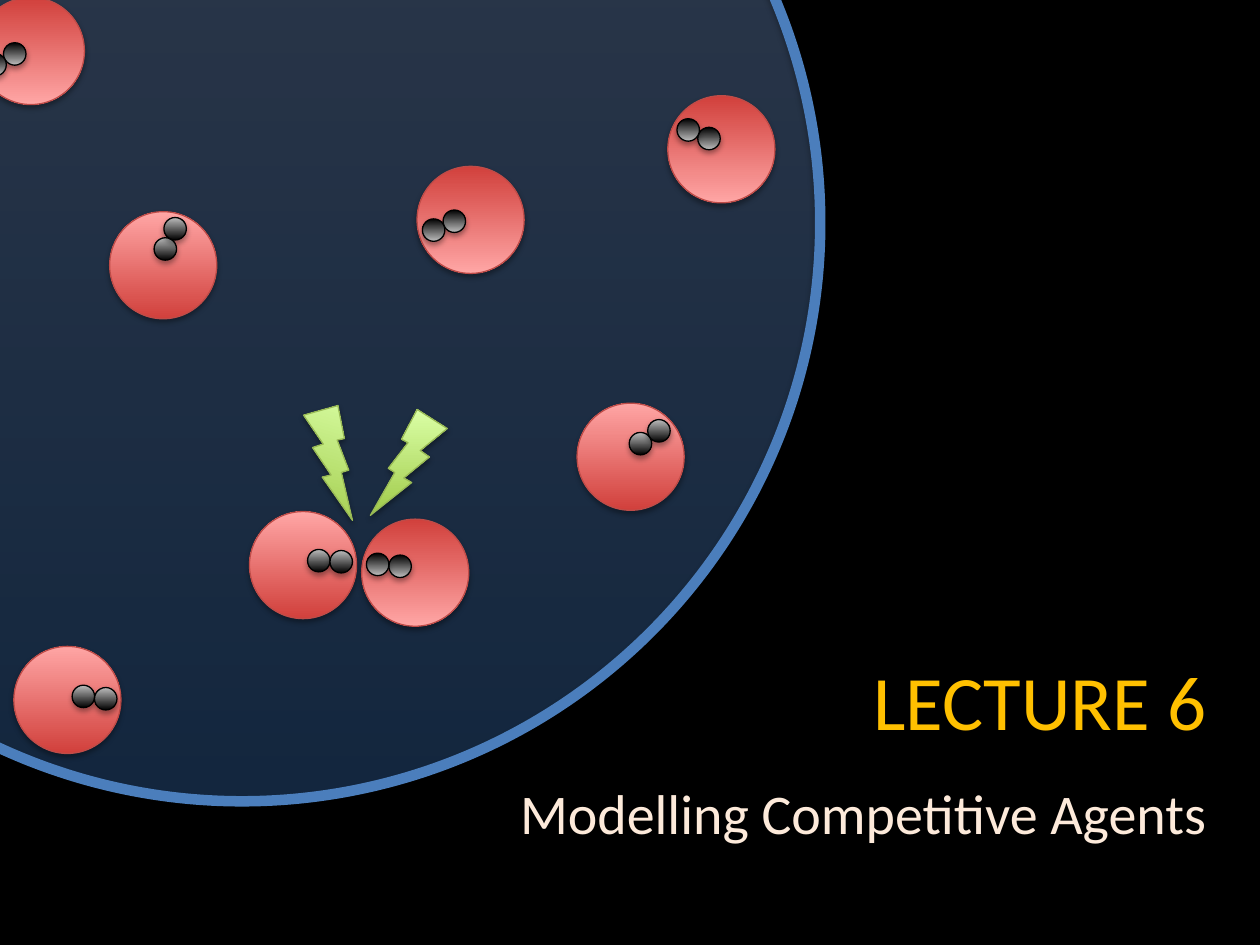
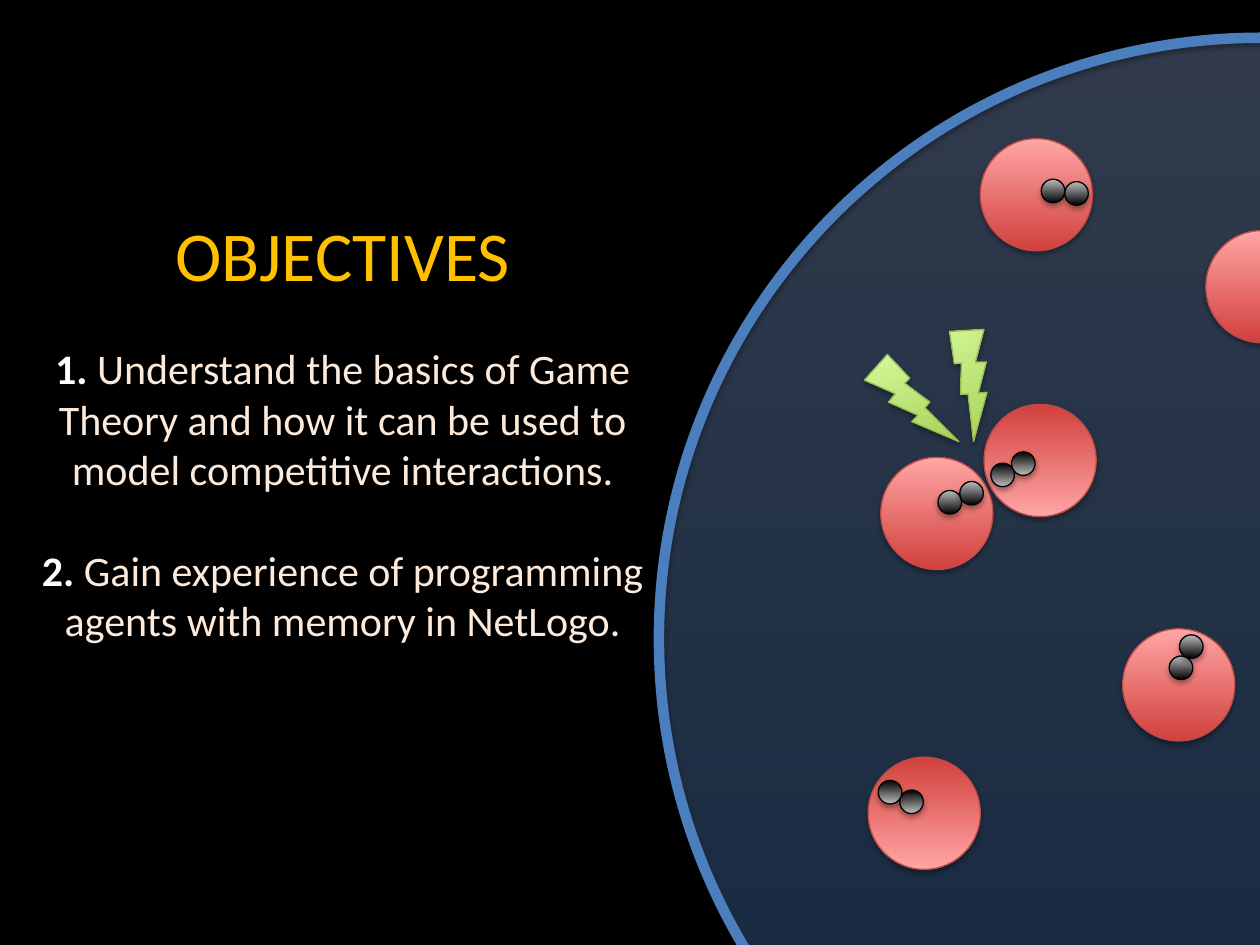
from math import cos, radians, sin

from lxml import etree
from pptx import Presentation
from pptx.dml.color import RGBColor
from pptx.enum.shapes import MSO_SHAPE
from pptx.enum.text import MSO_ANCHOR, MSO_AUTO_SIZE, PP_ALIGN
from pptx.oxml.ns import qn
from pptx.util import Inches, Pt

OVAL, BOLT = MSO_SHAPE.OVAL, MSO_SHAPE.LIGHTNING_BOLT
CENTER, RIGHT = PP_ALIGN.CENTER, PP_ALIGN.RIGHT

WIDTH, HEIGHT = 10, 7.5
FONT = "Calibri"
BLACK, WHITE, GOLD, CREAM = "000000", "FFFFFF", "FFC000", "FDEADA"
# Each look: gradient from bottom to top, then the outline
ARENA = ("3F80CE", "A4C4FF", "4B7EBC")
AGENT = ("D1403C", "FFA6A5", "BF4C48")
DOT = ("000000", "BDBDBD", "000000")
SPARK = ("A0CA4A", "DAFFA5", "98B955")

# Dots within an agent, as shares of the agent's diameter from its centre
DOT_SIZE = 0.21
DOT_OFFSETS = [(0.145, -0.048), (0.355, -0.048)]

SLIDES = [
    {
        "title": (0, 4.37, 9.68, 3.16), "align": RIGHT,
        # Each paragraph: space before, then its spans
        "text": [
            (0, [("LECTURE 6", 44, GOLD, False)]),
            (19, [("Modelling Competitive Agents", 32, CREAM, False)]),
        ],
        "arena": (-2.67, -2.82, 9.18),
        "agent_size": 0.85,
        # Left, top, rotation, mirrored
        "agents": [
            (-0.18, -0.02, 331.3, True), (3.31, 1.32, 336.8, True),
            (1.98, 4.06, 2.7, False), (0.87, 1.68, 295.9, False),
            (0.11, 5.13, 6, False), (4.58, 3.2, 325.3, False),
            (5.3, 0.76, 22.6, True), (2.87, 4.12, 4.7, True),
        ],
        "bolt_size": (0.61, 0.84),
        "bolts": [(2.32, 3.22, 16.6, False), (2.94, 3.25, 0, True)],
    },
    {
        "title": (0, 0.3, 5.44, 6.2), "align": CENTER,
        "text": [
            (0, [("OBJECTIVES", 40, GOLD, False)]),
            (27, [("1.", 24, WHITE, True),
                  (" Understand the basics of Game Theory and how it can be "
                   "used to model competitive interactions.", 24, CREAM, False)]),
            (29, [("2. ", 24, WHITE, True),
                  ("Gain experience of programming agents with memory in "
                   "NetLogo.", 24, CREAM, False)]),
        ],
        "arena": (5.23, 0.3, 9.54),
        "agent_size": 0.89,
        "agents": [
            (6.99, 3.63, 337.6, False), (7.81, 3.21, 331.3, True),
            (6.89, 6.01, 24, True), (9.57, 1.83, 11.9, False),
            (8.91, 4.99, 295.9, False), (7.78, 1.1, 6, False),
        ],
        "bolt_size": (0.59, 0.82),
        "bolts": [(6.92, 2.78, 344.3, False), (7.43, 2.59, 324.1, True)],
    },
]


def add_span(para, text, size, color, bold=False):
    span = para.add_run()
    span.text = text
    span.font.name = FONT
    span.font.size = Pt(size)
    span.font.bold = bold
    span.font.color.rgb = RGBColor.from_string(color)


def add_glossy(page, kind, left, top, width, height, look, dark_top=False,
               filled=True, opacity=100, line_width=0.75):
    shape = page.shapes.add_shape(kind, Inches(left), Inches(top),
                                  Inches(width), Inches(height))
    if filled:
        shape.fill.gradient()
        shape.fill.gradient_angle = 270 if dark_top else 90
        for stop, position, color in zip(shape.fill.gradient_stops, (0, 1), look):
            stop.position = position
            stop.color.rgb = RGBColor.from_string(color)
        if opacity < 100:
            for color in shape._element.spPr.find(qn("a:gradFill")).iter(qn("a:srgbClr")):
                etree.SubElement(color, qn("a:alpha"), val=str(opacity * 1000))
    else:
        shape.fill.background()
    shape.line.color.rgb = RGBColor.from_string(look[2])
    shape.line.width = Pt(line_width)
    # Soft shadow straight below
    shape.shadow.inherit = False
    effects = shape._element.spPr.find(qn("a:effectLst"))
    shadow = etree.SubElement(effects, qn("a:outerShdw"), blurRad=str(Pt(3.1)),
                              dist=str(Pt(1.8)), dir="5400000", rotWithShape="0")
    shade = etree.SubElement(shadow, qn("a:srgbClr"), val=BLACK)
    etree.SubElement(shade, qn("a:alpha"), val="35000")
    return shape


deck = Presentation()
deck.slide_width, deck.slide_height = Inches(WIDTH), Inches(HEIGHT)

for content in SLIDES:
    page = deck.slides.add_slide(deck.slide_layouts[5])
    page.background.fill.solid()
    page.background.fill.fore_color.rgb = RGBColor.from_string(BLACK)

    # Title
    box = page.shapes.title
    box.left, box.top, box.width, box.height = map(Inches, content["title"])
    frame = box.text_frame
    frame.word_wrap = True
    frame.auto_size = MSO_AUTO_SIZE.NONE
    frame.vertical_anchor = MSO_ANCHOR.MIDDLE
    for index, (space, spans) in enumerate(content["text"]):
        para = frame.add_paragraph() if index else frame.paragraphs[0]
        para.alignment = content["align"]
        para.space_before = Pt(space)
        for text, size, color, bold in spans:
            add_span(para, text, size=size, color=color, bold=bold)

    # Arena: translucent disc and its heavy rim
    left, top, size = content["arena"]
    add_glossy(page, OVAL, left, top, size, size, ARENA, opacity=29)
    add_glossy(page, OVAL, left, top, size, size, ARENA, filled=False, line_width=6)

    # Agents with their two dots turned around the centre
    size = content["agent_size"]
    dot = size * DOT_SIZE
    for left, top, rotation, mirrored in content["agents"]:
        add_glossy(page, OVAL, left, top, size, size, AGENT, dark_top=mirrored)
        turn = radians(rotation)
        for across, down in DOT_OFFSETS:
            across = -across if mirrored else across
            x = left + size * (0.5 + across * cos(turn) - down * sin(turn)) - dot / 2
            y = top + size * (0.5 + across * sin(turn) + down * cos(turn)) - dot / 2
            if x < WIDTH:
                add_glossy(page, OVAL, x, y, dot, dot, DOT, dark_top=mirrored)

    # Lightning over the meeting pair
    for left, top, rotation, mirrored in content["bolts"]:
        bolt = add_glossy(page, BOLT, left, top, *content["bolt_size"], SPARK)
        bolt.rotation = rotation
        if mirrored:
            bolt._element.spPr.find(qn("a:xfrm")).set("flipH", "1")

deck.save("out.pptx")
